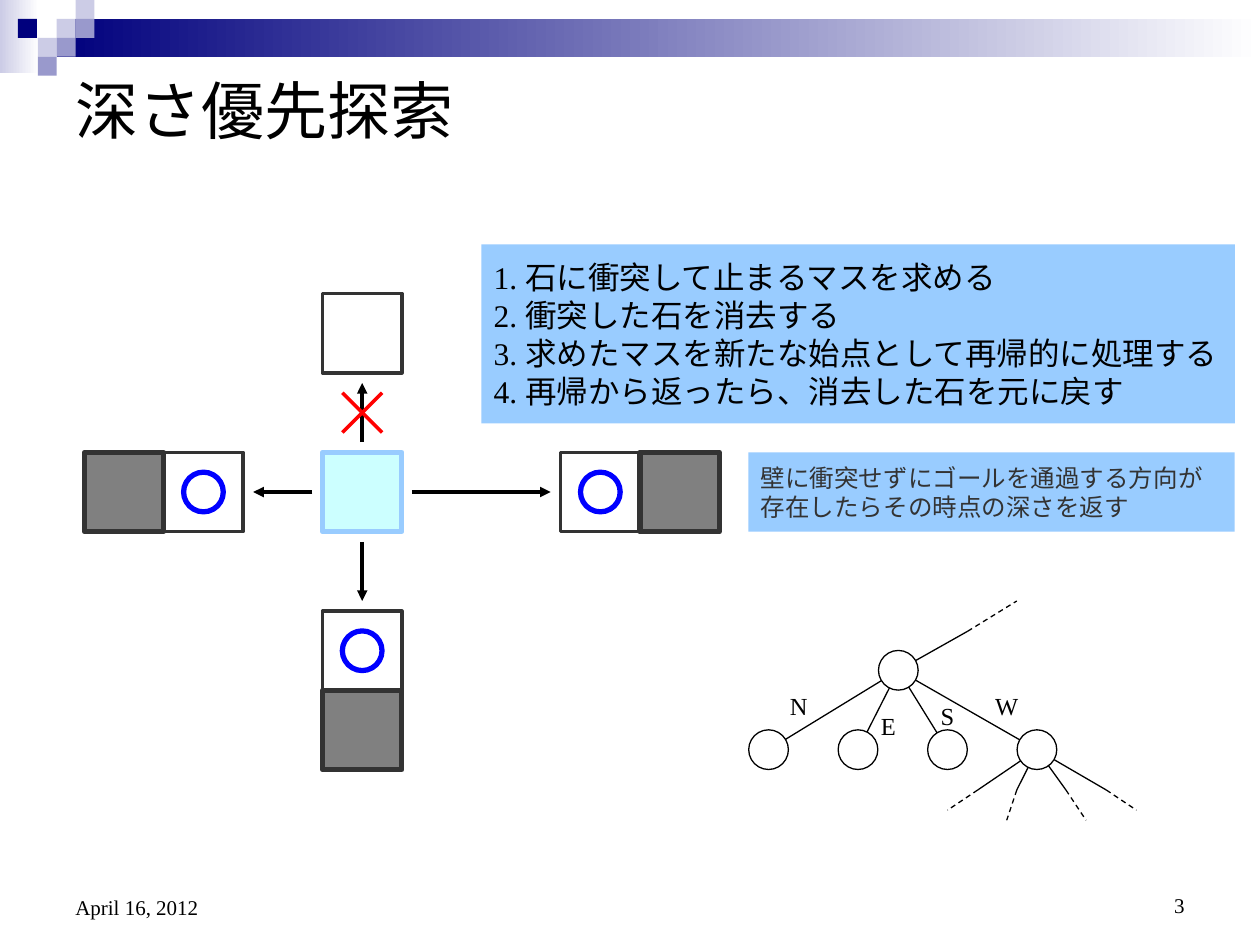
from lxml import etree
from pptx import Presentation
from pptx.dml.color import RGBColor
from pptx.enum.dml import MSO_LINE
from pptx.enum.shapes import MSO_CONNECTOR, MSO_SHAPE
from pptx.enum.text import MSO_ANCHOR, PP_ALIGN
from pptx.oxml.ns import qn
from pptx.util import Inches, Pt

RECT, OVAL = MSO_SHAPE.RECTANGLE, MSO_SHAPE.OVAL
LEFT, CENTER, RIGHT = PP_ALIGN.LEFT, PP_ALIGN.CENTER, PP_ALIGN.RIGHT
MIDDLE, BOTTOM = MSO_ANCHOR.MIDDLE, MSO_ANCHOR.BOTTOM
SANS, SERIF = "Arial", "Times New Roman"
COLORS = {"black": "000000", "white": "FFFFFF", "navy": "00007D", "lilac": "CCCCE6",
          "violet": "9999CC", "sky": "99CCFF", "ice": "CCFFFF", "dark": "333333",
          "stone": "808080", "blue": "0000FF", "red": "FF0000"}

# Content
TITLE = "深さ優先探索"
STEPS = ["1. 石に衝突して止まるマスを求める",
         "2. 衝突した石を消去する",
         "3. 求めたマスを新たな始点として再帰的に処理する",
         "4. 再帰から返ったら、消去した石を元に戻す"]
GOAL_NOTE = ["壁に衝突せずにゴールを通過する方向が",
             "存在したらその時点の深さを返す"]
DATE, PAGE_NUMBER = "April 16, 2012", "3"

# Header squares: column, row, colour
SQUARE = 0.15
SQUARES = [(3, 1, "lilac"), (4, 0, "lilac"), (4, 1, "violet"), (2, 2, "lilac"),
           (0.95, 1, "navy"), (3, 2, "violet"), (2, 3, "violet")]

# Board: column, row on a grid of cells
CELL, BOARD_LEFT, BOARD_TOP, GAP = 0.63, 0.67, 2.33, 0.08
START = (3, 2)
FREE_CELLS = [(3, 0), (6, 2), (1, 2), (3, 4)]
STONES = [(7, 2), (0, 2), (3, 5)]
STOPS = [(1, 2), (6, 2), (3, 4)]
RING = CELL / 2

# Search tree: centres of nodes, labels, and branches that go on
ROOT = (7.13, 5.32)
CHILDREN = [(6.1 + 0.71 * index, 5.95) for index in range(4)]
LABELS = [("N", 6.18, 5.48), ("E", 6.89, 5.64), ("S", 7.36, 5.56), ("W", 7.83, 5.48)]
BRANCHES = [(CHILDREN[3], (7.76, 6.27), (7.52, 6.43)),
            (CHILDREN[3], (8.07, 6.27), (7.99, 6.51)),
            (CHILDREN[3], (8.46, 6.27), (8.62, 6.51)),
            (CHILDREN[3], (8.78, 6.27), (9.02, 6.43)),
            (ROOT, (7.68, 5.01), (8.07, 4.77))]

deck = Presentation()
deck.slide_width, deck.slide_height = Inches(10), Inches(7.5)
page = deck.slides.add_slide(deck.slide_layouts[6])


def color(name):
    return RGBColor.from_string(COLORS[name])


def add_box(left, top, width, height, kind=RECT, fill=None, fade=None, line=None, weight=1):
    box = page.shapes.add_shape(kind, *map(Inches, (left, top, width, height)))
    box.shadow.inherit = False
    if fade:
        box.fill.gradient()
        box.fill.gradient_angle = 0
        for stop, name in zip(box.fill.gradient_stops, (fade, "white")):
            stop.color.rgb = color(name)
    elif fill:
        box.fill.solid()
        box.fill.fore_color.rgb = color(fill)
    else:
        box.fill.background()
    if line:
        box.line.color.rgb = color(line)
        box.line.width = Pt(weight)
    else:
        box.line.fill.background()
    return box


def add_text(lines, left, top, width, height, size=14, font=SERIF, ink="black",
             align=LEFT, anchor=MIDDLE, wrap=False, fill=None):
    frame = add_box(left, top, width, height, fill=fill).text_frame
    frame.word_wrap, frame.vertical_anchor = wrap, anchor
    for index, line in enumerate(lines):
        para = frame.add_paragraph() if index else frame.paragraphs[0]
        para.alignment = align
        span = para.add_run()
        span.text = line
        span.font.size, span.font.name = Pt(size), font
        span.font.color.rgb = color(ink)


def add_line(start, end, ink="black", weight=0.75, dashed=False, arrow=False):
    line = page.shapes.add_connector(MSO_CONNECTOR.STRAIGHT, *map(Inches, (*start, *end)))
    line.line.color.rgb = color(ink)
    line.line.width = Pt(weight)
    if dashed:
        line.line.dash_style = MSO_LINE.DASH
    if arrow:
        etree.SubElement(line.line._get_or_add_ln(), qn("a:tailEnd"), type="triangle")
    etree.SubElement(line._element.spPr, qn("a:effectLst"))


def cell_corner(column, row):
    return BOARD_LEFT + column * CELL, BOARD_TOP + row * CELL


def cell_center(column, row):
    return cell_corner(column + 0.5, row + 0.5)


def add_circle(center, size, **style):
    add_box(center[0] - size / 2, center[1] - size / 2, size, size, kind=OVAL, **style)


# Header band
add_box(0, 0, 0.31, 0.58, fade="lilac")
add_box(3 * SQUARE, SQUARE, 10 - 3 * SQUARE, 2 * SQUARE, fade="navy")
for column, row, name in SQUARES:
    add_box(column * SQUARE, row * SQUARE, SQUARE, SQUARE, fill=name)
add_text([TITLE], 0.5, 0.5, 9.15, 0.73, size=36, font=SANS, wrap=True)

# Board cells
for cells, fill, line, weight in [([START], "ice", "sky", 3),
                                  (FREE_CELLS, "white", "dark", 2),
                                  (STONES, "stone", "dark", 3)]:
    for cell in cells:
        add_box(*cell_corner(*cell), CELL, CELL, fill=fill, line=line, weight=weight)

# Moves: from the start's edge to the facing edge of each free cell
start_x, start_y = cell_center(*START)
for cell in FREE_CELLS:
    end_x, end_y = cell_center(*cell)
    distance = abs(end_x - start_x) + abs(end_y - start_y)
    near = (CELL / 2 + GAP) / distance
    ends = [(start_x + (end_x - start_x) * share, start_y + (end_y - start_y) * share)
            for share in (near, 1 - near)]
    add_line(*ends, weight=2, arrow=True)

# Cross on the blocked move, rings on the stopping cells
cross_x, cross_y = cell_center(3, 1)
for slope in (1, -1):
    half = RING / 2
    add_line((cross_x - half, cross_y - slope * half),
             (cross_x + half, cross_y + slope * half), ink="red", weight=2)
for cell in STOPS:
    add_circle(cell_center(*cell), RING, line="blue", weight=3)

# Explanations
add_text(STEPS, 3.82, 1.94, 5.98, 1.42, size=18, fill="sky")
add_text(GOAL_NOTE, 5.94, 3.59, 3.86, CELL, font=SANS, ink="dark", fill="sky")

# Search tree
for child in CHILDREN:
    add_line(ROOT, child)
for node, bend, end in BRANCHES:
    add_line(node, bend)
    add_line(bend, end, dashed=True)
for node in [ROOT, *CHILDREN]:
    add_circle(node, RING, fill="white", line="black", weight=0.75)
for label, left, top in LABELS:
    add_text([label], left, top, 0.32, 0.24, align=CENTER)

# Footer
add_text([PAGE_NUMBER], 7.17, 6.83, 2.33, 0.5, size=12, align=RIGHT, anchor=BOTTOM, wrap=True)
add_text([DATE], 0.5, 6.83, 2.33, 0.52, size=12, anchor=BOTTOM, wrap=True)

deck.save("out.pptx")
